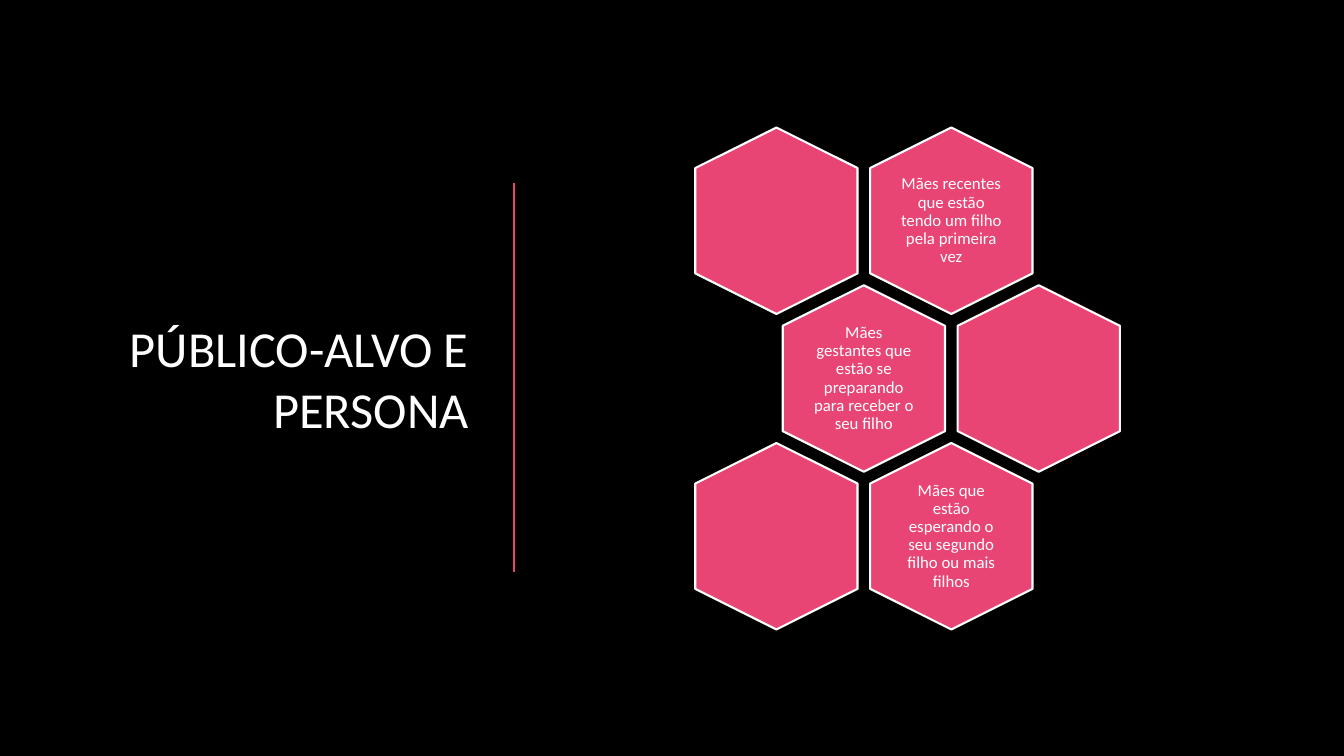
"""Builds the slide on target audience and persona."""
import dataclasses

import pptx
import pptx.dml.color
import pptx.enum.shapes
import pptx.enum.text
import pptx.oxml.ns
import pptx.util

Inch = pptx.util.Inches
Align = pptx.enum.text.PP_ALIGN


@dataclasses.dataclass(frozen=True)
class Theme:
    """Colours, font and type sizes of the slide."""
    back: str = "000000"
    ink: str = "FFFFFF"
    pink: str = "E84574"
    font: str = "Calibri"
    head: int = 36
    body: int = 12
    rule: float = 1.5


THEME = Theme()
WIDE, HIGH = 13.33, 7.5
LEFT, TOP = 7.7, 2.19
COL, ROW = 1.735, 1.565
CELLS = [
    (0, 0, ""),
    (1, 0, "Mães recentes que estão tendo um filho pela primeira vez"),
    (0.5, 1, "Mães gestantes que estão se preparando para receber o seu filho"),
    (1.5, 1, ""),
    (0, 2, ""),
    (1, 2, "Mães que estão esperando o seu segundo filho ou mais filhos"),
]


def tint(code):
    """Turn a hex code into a colour."""
    return pptx.dml.color.RGBColor.from_string(code)


def box(x, y, wide, high):
    """Give the place of a box of this size centred on a point."""
    return [Inch(part) for part in (x - wide / 2, y - high / 2, wide, high)]


def write(shape, text, size, align, gap=1.0, inset=None):
    """Put formatted text into a shape."""
    frame = shape.text_frame
    frame.text = text
    frame.word_wrap = True
    frame.auto_size = pptx.enum.text.MSO_AUTO_SIZE.NONE
    frame.vertical_anchor = pptx.enum.text.MSO_ANCHOR.MIDDLE
    if inset is not None:
        frame.margin_left = frame.margin_right = Inch(inset)
        frame.margin_top = frame.margin_bottom = Inch(inset)
    para = frame.paragraphs[0]
    para.alignment = align
    para.line_spacing = gap
    font = para.runs[0].font
    font.name, font.size = THEME.font, pptx.util.Pt(size)
    font.color.rgb = tint(THEME.ink)


def stroke(line, code):
    """Colour a line and set its width."""
    line.color.rgb = tint(code)
    line.width = pptx.util.Pt(THEME.rule)


def title(slide, text):
    """Place the title at the left."""
    shape = slide.shapes.title
    shape.left, shape.top, shape.width, shape.height = box(2.75, HIGH / 2, 4, 4.98)
    write(shape, text, THEME.head, Align.RIGHT)


def rule(slide, x, top, end):
    """Draw an upright line."""
    line = slide.shapes.add_connector(
        pptx.enum.shapes.MSO_CONNECTOR.STRAIGHT,
        Inch(x), Inch(top), Inch(x), Inch(end))
    stroke(line.line, THEME.pink)
    props = line._element.spPr
    props.append(props.makeelement(pptx.oxml.ns.qn("a:effectLst"), {}))


def cell(slide, col, row, text):
    """Draw one hexagon of the comb with its text, if any."""
    x, y = LEFT + col * COL, TOP + row * ROW
    shape = slide.shapes.add_shape(
        pptx.enum.shapes.MSO_SHAPE.HEXAGON, *box(x, y, 1.85, 1.61))
    shape.rotation = 90
    shape.adjustments[0] = 0.25
    shape.shadow.inherit = False
    shape.fill.solid()
    shape.fill.fore_color.rgb = tint(THEME.pink)
    stroke(shape.line, THEME.ink)
    if text:
        label = slide.shapes.add_textbox(*box(x, y, 1.11, 1.27))
        write(label, text, THEME.body, Align.CENTER, gap=0.9, inset=0.05)


def main():
    """Build and save the slide."""
    deck = pptx.Presentation()
    deck.slide_width, deck.slide_height = Inch(WIDE), Inch(HIGH)
    slide = deck.slides.add_slide(deck.slide_layouts.get_by_name("Title Only"))
    slide.background.fill.solid()
    slide.background.fill.fore_color.rgb = tint(THEME.back)
    title(slide, "PÚBLICO-ALVO E PERSONA")
    rule(slide, 5.1, 1.82, 5.67)
    for col, row, text in CELLS:
        cell(slide, col, row, text)
    deck.save("out.pptx")


if __name__ == "__main__":
    main()
